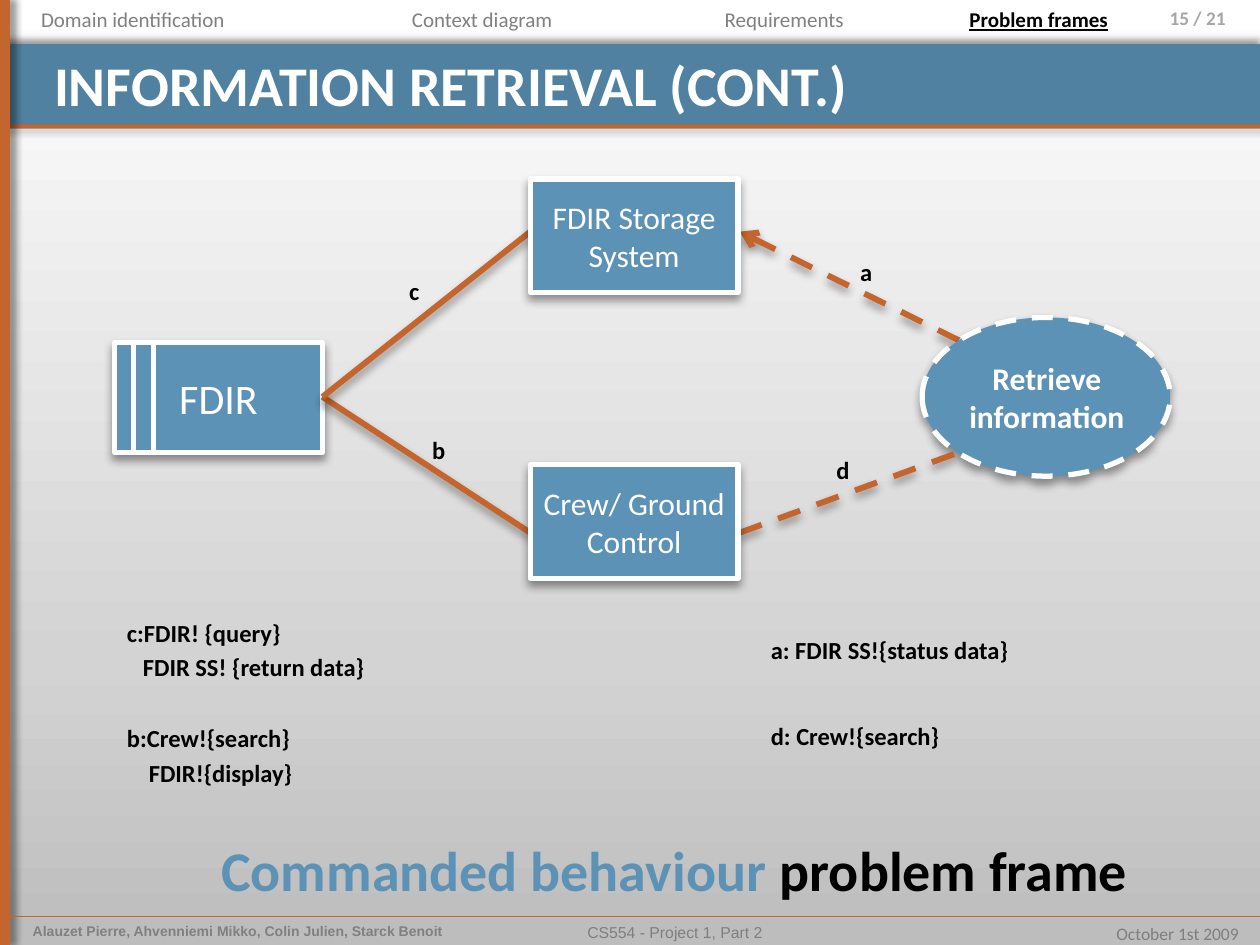
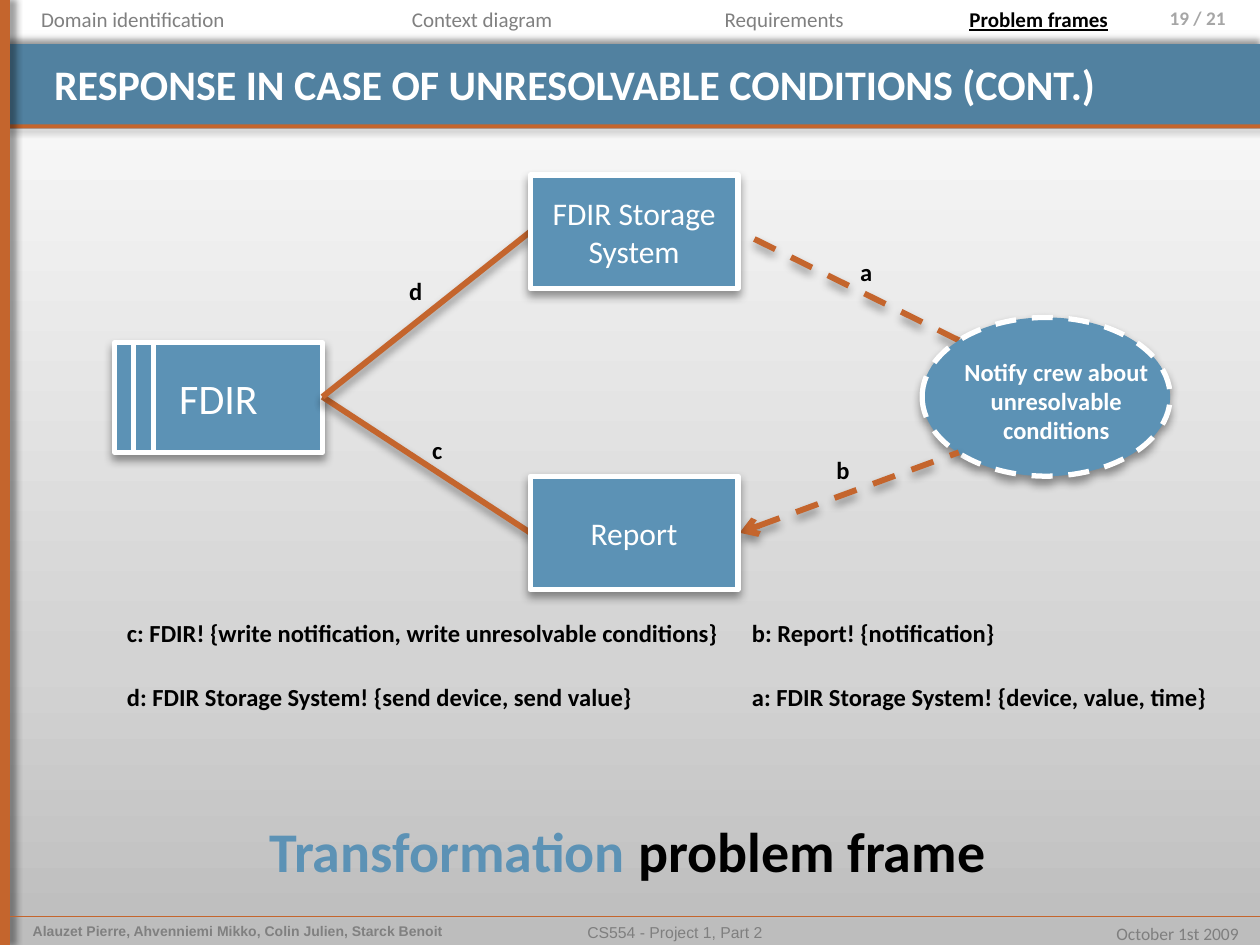
"""Two problem-frame slides: shared chrome, a diagram, notes and a caption."""
from copy import deepcopy

from lxml import etree
from pptx import Presentation
from pptx import util as u
from pptx.dml.color import RGBColor
from pptx.enum import dml, shapes, text
from pptx.oxml.ns import qn

Cm, Pt = u.Cm, u.Pt
WHITE = RGBColor(0xFF, 0xFF, 0xFF)
BLACK = RGBColor(0, 0, 0)
BAND = RGBColor(0x51, 0x81, 0xA0)
BLUE = RGBColor(0x5C, 0x92, 0xB5)
RUST = RGBColor(0xC4, 0x65, 0x2D)
GREY = RGBColor(0x80, 0x80, 0x80)
DIM = RGBColor(0x7F, 0x7F, 0x7F)
PALE = RGBColor(0xA6, 0xA6, 0xA6)
BACK = [(0, RGBColor(0xBD, 0xBD, 0xBD)), (0.3, RGBColor(0xD3, 0xD3, 0xD3)), (1, WHITE)]
WIDE, HIGH = 25.4, 19.05
LEFT, MID, RIGHT = (text.PP_ALIGN.LEFT, text.PP_ALIGN.CENTER, text.PP_ALIGN.RIGHT)
RECT, OVAL = shapes.MSO_SHAPE.RECTANGLE, shapes.MSO_SHAPE.OVAL
DASH = dml.MSO_LINE.DASH
SOFT = (5.2, 3, 90)  # shadow of diagram parts: blur, distance, angle
TABS = [("Domain identification", 0, 5.36), ("Context diagram", 6.15, 7.14),
        ("Requirements", 13.13, 5.36), ("Problem frames", 18.26, 5.36)]


def write(shape, words, size=14, color=BLACK, bold=False, line=False, font="Calibri",
          align=LEFT, anchor=text.MSO_ANCHOR.TOP, indent=0, side=0.25, right=None):
    """Fill a shape with paragraphs: each a string or a list of (string, colour)."""
    frame = shape.text_frame
    frame.word_wrap = True
    frame.auto_size = text.MSO_AUTO_SIZE.NONE
    frame.vertical_anchor = anchor
    frame.margin_left = Cm(side)
    frame.margin_right = Cm(side if right is None else right)
    frame.margin_top = frame.margin_bottom = Cm(0.13)
    for i, runs in enumerate([words] if isinstance(words, str) else words):
        para = frame.add_paragraph() if i else frame.paragraphs[0]
        para.alignment = align
        para.space_before = Pt(size / 5 if i else 0)
        props = para._p.get_or_add_pPr()
        props.set("marL", str(Cm(indent if i else 0)))
        props.set("indent", "0")
        etree.SubElement(props, qn("a:buNone"))
        for part, tint in [(runs, color)] if isinstance(runs, str) else runs:
            run = para.add_run()
            run.text = part
            run.font.name, run.font.size = font, Pt(size)
            run.font.bold, run.font.underline = bold, line
            run.font.color.rgb = tint
    return shape


def place(shape, x, y, w, h):
    """Move a placeholder to a box in centimetres."""
    shape.left, shape.top, shape.width, shape.height = Cm(x), Cm(y), Cm(w), Cm(h)
    return shape


def label(slide, words, x, y, w, h=0.86, **form):
    """Add a text box."""
    return write(slide.shapes.add_textbox(Cm(x), Cm(y), Cm(w), Cm(h)), words, **form)


def shade(shape, cast=None):
    """Replace theme effects by a soft black shadow, or by none."""
    props = shape._element.spPr
    for old in props.findall(qn("a:effectLst")):
        props.remove(old)
    group = etree.SubElement(props, qn("a:effectLst"))
    if cast:
        blur, dist, angle = cast
        outer = etree.SubElement(group, qn("a:outerShdw"), blurRad=str(Pt(blur)),
                                 dist=str(Pt(dist)), dir=str(angle * 60000), rotWithShape="0")
        tint = etree.SubElement(outer, qn("a:srgbClr"), val="000000")
        etree.SubElement(tint, qn("a:alpha"), val="40000")


def block(slide, x, y, w, h, fill, kind=RECT, edge=None, dash=None, cast=SOFT):
    """Add a filled shape, with a white edge if a width is given."""
    shape = slide.shapes.add_shape(kind, Cm(x), Cm(y), Cm(w), Cm(h))
    shape.fill.solid()
    shape.fill.fore_color.rgb = fill
    if edge:
        shape.line.color.rgb, shape.line.width = WHITE, Pt(edge)
        shape.line.dash_style = dash
    else:
        shape.line.fill.background()
    shade(shape, cast)
    return shape


def link(slide, start, end, color=RUST, width=3.35, dash=None, tip=None, cast=SOFT):
    """Add a straight line; tip is headEnd or tailEnd for an arrow."""
    wire = slide.shapes.add_connector(shapes.MSO_CONNECTOR.STRAIGHT,
                                      *[Cm(v) for v in (*start, *end)])
    wire.line.color.rgb, wire.line.width = color, Pt(width)
    wire.line.dash_style = dash
    if tip:
        etree.SubElement(wire.line._get_or_add_ln(), qn("a:" + tip), type="arrow")
    shade(wire, cast)


def paint(slide):
    """Set the grey gradient, dark at the bottom."""
    fill = slide.background.fill
    fill.gradient()
    fill.gradient_angle = 90
    stops = slide._element.find(".//" + qn("a:gsLst"))
    stops.append(deepcopy(stops[0]))
    for stop, (pos, color) in zip(fill.gradient_stops, BACK):
        stop.position, stop.color.rgb = pos, color


def header(slide, title, size, top, page):
    """Draw the navigation row, title band and side bar."""
    block(slide, 0, 0.89, WIDE, 1.7, BAND, cast=(4, 3, 270))
    block(slide, 0, 2.51, WIDE, 0.08, RUST, cast=(4, 3, 45))
    block(slide, 0, 0, 0.2, HIGH, RUST, cast=(4, 3, 0))
    head = place(slide.shapes.title, 0.84, top, 23.57, 1.47)
    slide.shapes._spTree.append(head._element)
    write(head, title, size=size, color=WHITE, bold=True)
    for name, x, w in TABS:
        here = name == TABS[-1][0]
        label(slide, name, x, 0, w, 0.76, size=12, color=BLACK if here else GREY,
              bold=here, line=here, align=MID)
    label(slide, f"{page} / 21", 22.43, 0, 2.97, 0.99, size=11, color=PALE,
          bold=True, align=RIGHT, right=0.69)


def footer(slide, y=18.47):
    """Draw the rule with authors, course and date."""
    link(slide, (0.2, y), (WIDE, y), width=0.25, cast=(4, 3, 45))
    label(slide, "Alauzet Pierre, Ahvenniemi Mikko, Colin Julien, Starck Benoit",
          0.41, y, 9.32, 0.58, size=8, color=GREY, bold=True, font="Arial")
    label(slide, "CS554 - Project 1, Part 2", 5.77, y, 15.67, 0.58, size=9,
          color=DIM, font="Arial", align=MID)
    label(slide, "October 1st 2009", 21.9, y, 3.32, 0.69, size=10, color=DIM, align=RIGHT)


def frame(slide, x, y, names, upper, lower, goal, tips):
    """Draw the problem diagram with its corner at x, y.

    names: edge letters (upper left, lower left, upper right, lower right);
    upper, lower: (words, top); goal: (words, size, box); tips: right arrows.
    """
    def at(dx, dy):
        return x + dx, y + dy

    def node(words, dx, dy, h, size):
        box = block(slide, *at(dx, dy), 4.19, h, BLUE, edge=3)
        write(box, words, size=size, color=WHITE, align=MID, side=0.2,
              anchor=text.MSO_ANCHOR.MIDDLE)

    link(slide, at(17.02, 3.33), at(12.6, 1.14), dash=DASH, tip=tips[0])
    node("FDIR", 0, 3.38, 2.21, 24)
    for dx in (0.38, 0.79):
        link(slide, at(dx, 3.38), at(dx, 5.59), color=WHITE, width=3, cast=None)
    block(slide, *at(16.28, 2.87), 5, 3.2, BLUE, kind=OVAL, edge=3, dash=DASH)
    words, size, (dx, dy, w, h) = goal
    label(slide, words, *at(dx, dy), w, h, size=size, color=WHITE, bold=True, align=MID)
    link(slide, at(12.6, 7.21), at(17.02, 5.59), dash=DASH, tip=tips[1])
    for end in (7.21, 1.14):
        link(slide, at(4.19, 4.47), at(8.38, end))
    for words, top in (upper, lower):
        node(words, 8.38, top, 2.29, 18)
    for name, spot in zip(names, [(5.69, 1.9), (6.15, 5.11), (14.78, 1.52)]):
        label(slide, name, *at(*spot), 0.9, bold=True)
    body = place(slide.placeholders[1], *at(14.3, 5.51), 0.9, 0.86)
    slide.shapes._spTree.append(body._element)
    write(body, names[3], bold=True)


def notes(slide, x, y, w, step, items):
    """Stack the edge notes, each (paragraphs, indent of later lines)."""
    for i, (words, indent) in enumerate(items):
        label(slide, words, x, y + i * step, w, 0.86 if len(words) == 1 else 1.57,
              bold=True, indent=indent)


def caption(slide, kind, x, y, w, align):
    """Name the kind of problem frame."""
    label(slide, [[(kind + " ", BLUE), ("problem frame", BLACK)]], x, y, w, 1.63,
          size=32, bold=True, align=align)


def start(deck, *head):
    """Add a slide with everything the slides share."""
    slide = deck.slides.add_slide(deck.slide_layouts[1])
    paint(slide)
    header(slide, *head)
    footer(slide)
    return slide


def main():
    """Build both slides."""
    deck = Presentation()
    deck.slide_width, deck.slide_height = Cm(WIDE), Cm(HIGH)
    store = "FDIR Storage System"

    slide = start(deck, "INFORMATION RETRIEVAL (CONT.)", 32, 0.89, 15)
    frame(slide, 2.31, 3.53, "cbad", (store, 0.08), ("Crew/ Ground Control", 5.84),
          ("Retrieve information", 18, (16.89, 3.58, 3.81, 1.8)), ("tailEnd", None))
    notes(slide, 2.31, 12.32, 6, 2.13,
          [(["c:FDIR! {query}", "FDIR SS! {return data}"], 0.32),
           (["b:Crew!{search}", "FDIR!{display}"], 0.44)])
    notes(slide, 15.29, 12.67, 6, 1.73,
          [(["a: FDIR SS!{status data}"], 0), (["d: Crew!{search}"], 0)])
    caption(slide, "Commanded behaviour", 4.11, 16.71, 18.97, MID)

    slide = start(deck, "RESPONSE IN CASE OF UNRESOLVABLE CONDITIONS (CONT.)", 24, 1.04, 19)
    frame(slide, 2.31, 3.53, "dcab", (store, 0), ("Report", 6.07),
          ("Notify crew about unresolvable conditions", 14, (16.79, 3.53, 4.39, 2.06)),
          (None, "headEnd"))
    notes(slide, 2.31, 12.32, 12.6, 1.29,
          [(["c: FDIR! {write notification, write unresolvable conditions}"], 0),
           (["d: FDIR Storage System! {send device, send value}"], 0)])
    notes(slide, 14.91, 12.32, 10, 1.29,
          [(["b: Report! {notification}"], 0),
           (["a: FDIR Storage System! {device, value, time}"], 0)])
    caption(slide, "Transformation", 5.18, 16.33, 15.24, LEFT)
    deck.save("out.pptx")


main()
